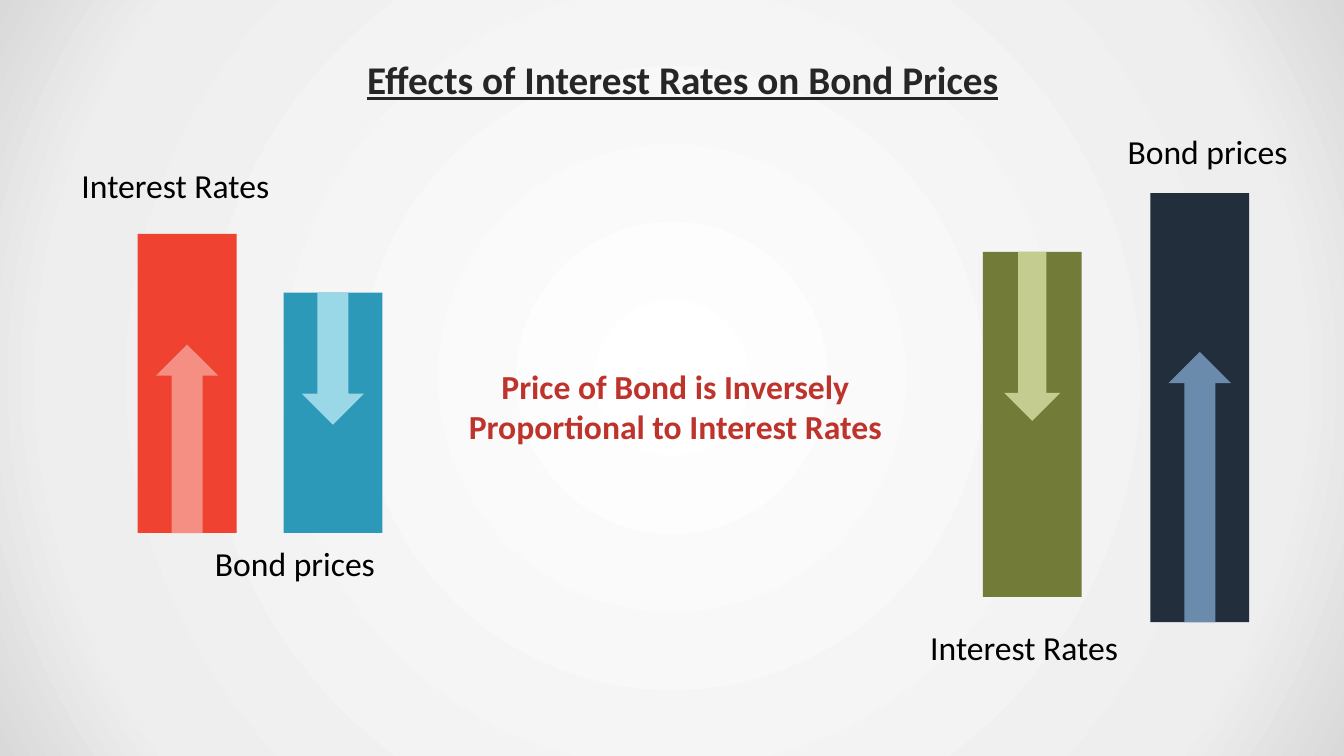
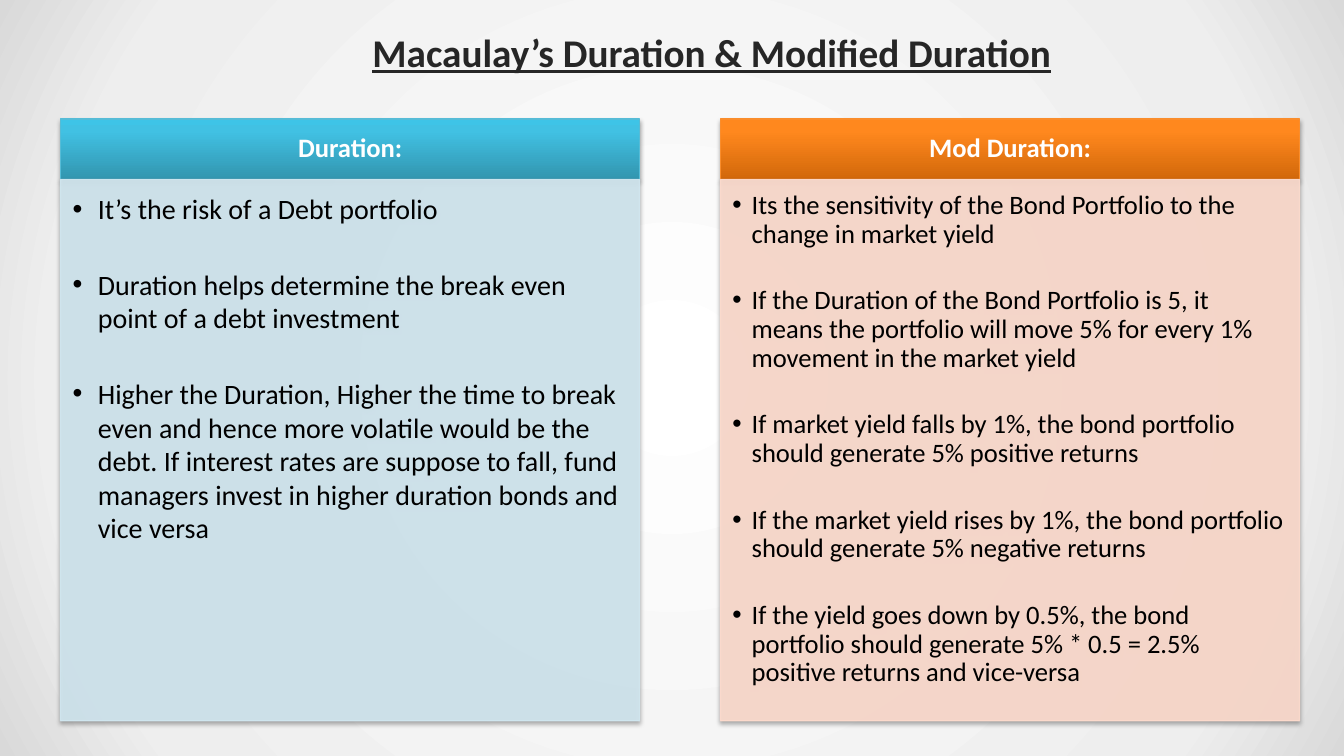
from pptx import Presentation
from pptx.dml.color import RGBColor
from pptx.enum.shapes import MSO_SHAPE
from pptx.enum.text import MSO_ANCHOR, PP_ALIGN
from pptx.oxml import parse_xml
from pptx.oxml.ns import nsdecls, qn
from pptx.util import Inches, Pt

FONT = "Calibri"
BLACK = RGBColor(0x00, 0x00, 0x00)
WHITE = RGBColor(0xFF, 0xFF, 0xFF)
TITLE_GREY = RGBColor(0x26, 0x26, 0x26)
MESSAGE_RED = RGBColor(0xBE, 0x34, 0x2C)
RED = RGBColor(0xEF, 0x42, 0x31)
PALE_RED = RGBColor(0xF5, 0x8E, 0x83)
TEAL = RGBColor(0x2B, 0x99, 0xB7)
PALE_TEAL = RGBColor(0x9A, 0xD7, 0xE7)
OLIVE = RGBColor(0x73, 0x7B, 0x38)
PALE_OLIVE = RGBColor(0xC5, 0xCC, 0x8F)
NAVY = RGBColor(0x22, 0x2E, 0x3C)
PALE_NAVY = RGBColor(0x6B, 0x8B, 0xAC)
BLUE_EDGE = RGBColor(0x56, 0xBC, 0xD7)
BLUE_PANEL = RGBColor(0xD1, 0xE7, 0xF0)
ORANGE_EDGE = RGBColor(0xFA, 0x8D, 0x2C)
ORANGE_PANEL = RGBColor(0xFD, 0xDB, 0xCD)

PAGE_STOPS = {0: WHITE, 81: RGBColor(0xEE, 0xEE, 0xEE), 100: RGBColor(0xD9, 0xD9, 0xD9)}
BLUE_STOPS = {0: RGBColor(0x32, 0x95, 0xAF), 80: RGBColor(0x41, 0xC1, 0xE3),
              100: RGBColor(0x3E, 0xC4, 0xE7)}
ORANGE_STOPS = {0: RGBColor(0xD2, 0x68, 0x0A), 80: RGBColor(0xFF, 0x88, 0x1E),
                100: RGBColor(0xFF, 0x89, 0x1F)}
RADIAL = ('<a:path path="circle"><a:fillToRect l="50000" t="50000" '
          'r="50000" b="50000"/></a:path>')
UPWARD = '<a:lin ang="16200000" scaled="0"/>'
SHADOW = (f'<a:outerShdw {nsdecls("a")} blurRad="39370" dist="22860" dir="5400000" '
          'rotWithShape="0"><a:srgbClr val="000000"><a:alpha val="35000"/>'
          '</a:srgbClr></a:outerShdw>')

TITLE = {"size": Pt(28), "bold": True, "underline": True}
LABEL = {"size": Pt(24)}
MESSAGE = {"size": Pt(24), "bold": True}
HEADER = {"size": Pt(19), "bold": True}

deck = Presentation()
deck.slide_width, deck.slide_height = Inches(13.33), Inches(7.5)
# The grid has 100 columns and 100 rows.
COLUMN, ROW = deck.slide_width / 100, deck.slide_height / 100


def gradient(stops, direction):
    marks = "".join(f'<a:gs pos="{share * 1000}"><a:srgbClr val="{color}"/></a:gs>'
                    for share, color in stops.items())
    return f'<a:gradFill {nsdecls("a")}><a:gsLst>{marks}</a:gsLst>{direction}</a:gradFill>'


def add_box(page, place, kind=None, lines=(), style=LABEL, color=BLACK,
            align=PP_ALIGN.CENTER):
    """Add a preset shape, or a text box if kind is None; place is in grid units."""
    left, top, width, height = place
    area = [round(length) for length in
            (left * COLUMN, top * ROW, width * COLUMN, height * ROW)]
    if kind is None:
        box = page.shapes.add_textbox(*area)
    else:
        box = page.shapes.add_shape(kind, *area)
        box.shadow.inherit = False
    frame = box.text_frame
    for index, line in enumerate(lines):
        para = frame.paragraphs[0] if index == 0 else frame.add_paragraph()
        para.alignment = align
        span = para.add_run()
        span.text = line
        span.font.name = FONT
        span.font.color.rgb = color
        for name, value in style.items():
            setattr(span.font, name, value)
    return box


scene = deck.slide_master.element.cSld
if scene.bg is not None:
    scene.remove(scene.bg)
scene.insert(0, parse_xml(f'<p:bg {nsdecls("p", "a")}><p:bgPr>{gradient(PAGE_STOPS, RADIAL)}'
                          '<a:effectLst/></p:bgPr></p:bg>'))

titles = [
    ("Effects of Interest Rates on Bond Prices", 26, 6.67, 49.6),
    ("Macaulay’s Duration & Modified Duration", 26.6, 3.1, 52.7),
]
pages = []
for title, left, top, width in titles:
    page = deck.slides.add_slide(deck.slide_layouts[6])
    box = add_box(page, (left, top, width, 7.6), lines=[title], style=TITLE, color=TITLE_GREY)
    box.text_frame.word_wrap = True
    pages.append(page)
rates_page, duration_page = pages

# Slide 1: paired bars, each with an arrow from its base or its top
BAR_WIDTH = 7.35
UP, DOWN = MSO_SHAPE.UP_ARROW, MSO_SHAPE.DOWN_ARROW
bars = [
    # left, top, bottom, bar colour, arrow, arrow colour, arrow share of width and height
    (10.25, 30.95, 70.5, RED, UP, PALE_RED, 0.63, 0.63),
    (21.1, 38.7, 70.5, TEAL, DOWN, PALE_TEAL, 0.63, 0.55),
    (85.6, 25.55, 82.3, NAVY, UP, PALE_NAVY, 0.63, 0.63),
    (73.13, 33.33, 78.95, OLIVE, DOWN, PALE_OLIVE, 0.57, 0.49),
]
for left, top, bottom, bar_color, arrow, arrow_color, wide, tall in bars:
    height = bottom - top
    arrow_width, arrow_height = BAR_WIDTH * wide, height * tall
    arrow_left = left + (BAR_WIDTH - arrow_width) / 2
    arrow_top = bottom - arrow_height if arrow == UP else top
    for kind, color, place in [
        (MSO_SHAPE.RECTANGLE, bar_color, (left, top, BAR_WIDTH, height)),
        (arrow, arrow_color, (arrow_left, arrow_top, arrow_width, arrow_height)),
    ]:
        box = add_box(rates_page, place, kind)
        box.fill.solid()
        box.fill.fore_color.rgb = color
        box.line.fill.background()

message = add_box(rates_page, (30, 47.7, 40.5, 13),
                  lines=["Price of Bond is Inversely Proportional to Interest Rates"],
                  style=MESSAGE, color=MESSAGE_RED)
message.text_frame.word_wrap = True

labels = [
    ("Interest Rates", 4.95, 21.1, 16.2),
    ("Bond prices", 83.1, 16.6, 13.5),
    ("Interest Rates", 68.1, 82.3, 16.2),
    ("Bond prices", 15.2, 71.1, 13.5),
]
for label, left, top, width in labels:
    box = add_box(rates_page, (left, top, width, 6.7), lines=[label])
    box.text_frame.word_wrap = False

# Slide 2: two headed panels
PANEL_WIDTH, HEADER_TOP, HEADER_HEIGHT, BODY_HEIGHT = 43.1, 15.75, 8, 71.6
panels = [
    {"left": 4.5, "header": "Duration:", "stops": BLUE_STOPS, "edge": BLUE_EDGE,
     "body": BLUE_PANEL, "size": 20, "gap": 30, "indent": 0.25, "spacing": 1.0,
     "points": [
         "It’s the risk of a Debt portfolio",
         "Duration helps determine the break even point of a debt investment",
         "Higher the Duration, Higher the time to break even and hence more volatile "
         "would be the debt. If interest rates are suppose to fall, fund managers invest "
         "in higher duration bonds and vice versa",
     ]},
    {"left": 53.6, "header": "Mod Duration:", "stops": ORANGE_STOPS, "edge": ORANGE_EDGE,
     "body": ORANGE_PANEL, "size": 19, "gap": 27, "indent": 0.19, "spacing": 0.9,
     "points": [
         "Its the sensitivity of the Bond Portfolio to the change in market yield",
         "If the Duration of the Bond Portfolio is 5, it means the portfolio will move 5% "
         "for every 1% movement in the market yield",
         "If market yield falls by 1%, the bond portfolio should generate 5% positive returns",
         "If the market yield rises by 1%, the bond portfolio should generate 5% negative "
         "returns",
         "If the yield goes down by 0.5%, the bond portfolio should generate "
         "5% * 0.5 = 2.5% positive returns and vice-versa",
     ]},
]
for panel in panels:
    header = add_box(duration_page, (panel["left"], HEADER_TOP, PANEL_WIDTH, HEADER_HEIGHT),
                     MSO_SHAPE.RECTANGLE, [panel["header"]], HEADER, WHITE)
    header.text_frame.vertical_anchor = MSO_ANCHOR.MIDDLE
    header.text_frame.paragraphs[0].line_spacing = 0.9
    outline = header._element.spPr.find(qn("a:prstGeom"))
    outline.addnext(parse_xml(gradient(panel["stops"], UPWARD)))
    header.line.color.rgb = panel["edge"]

    body = add_box(duration_page,
                   (panel["left"], HEADER_TOP + HEADER_HEIGHT, PANEL_WIDTH, BODY_HEIGHT),
                   MSO_SHAPE.RECTANGLE, panel["points"], {"size": Pt(panel["size"])},
                   align=PP_ALIGN.LEFT)
    body.fill.solid()
    body.fill.fore_color.rgb = panel["body"]
    body.line.color.rgb = panel["body"]
    for color in body._element.spPr.iter(qn("a:srgbClr")):
        color.append(parse_xml(f'<a:alpha {nsdecls("a")} val="90000"/>'))
    frame = body.text_frame
    frame.vertical_anchor = MSO_ANCHOR.TOP
    for side, margin in {"left": 0.12, "top": 0.12, "right": 0.15, "bottom": 0.17}.items():
        setattr(frame, f"margin_{side}", Inches(margin))
    for index, para in enumerate(frame.paragraphs):
        properties = para._p.get_or_add_pPr()
        indent = Inches(panel["indent"])
        properties.set("marL", str(indent))
        properties.set("indent", str(-indent))
        properties.append(parse_xml(f'<a:buFont {nsdecls("a")} typeface="Arial"/>'))
        properties.append(parse_xml(f'<a:buChar {nsdecls("a")} char="•"/>'))
        para.line_spacing = panel["spacing"]
        para.space_before = Pt(panel["gap"] if index else 0)

    for box in (header, body):
        box.text_frame.word_wrap = True
        box.line.width = Pt(0.75)
        box._element.spPr.find(qn("a:effectLst")).append(parse_xml(SHADOW))

deck.save("out.pptx")
